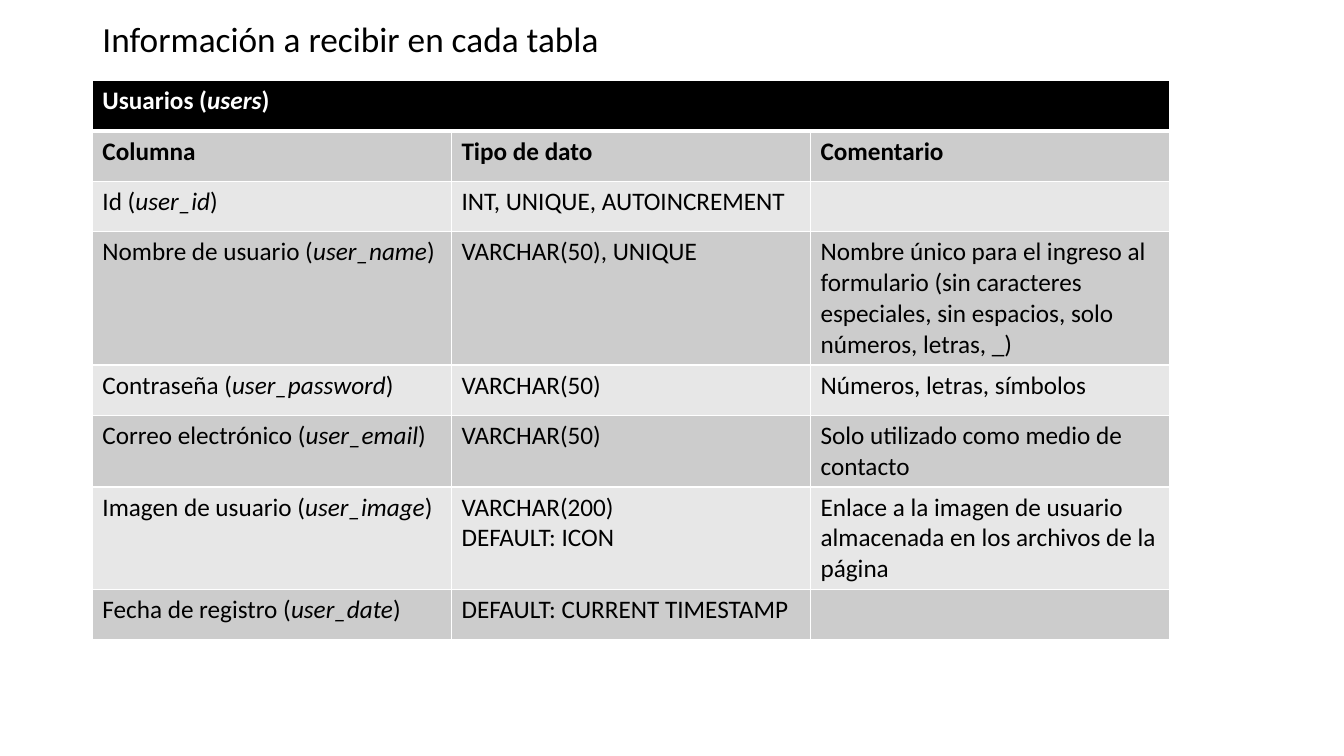
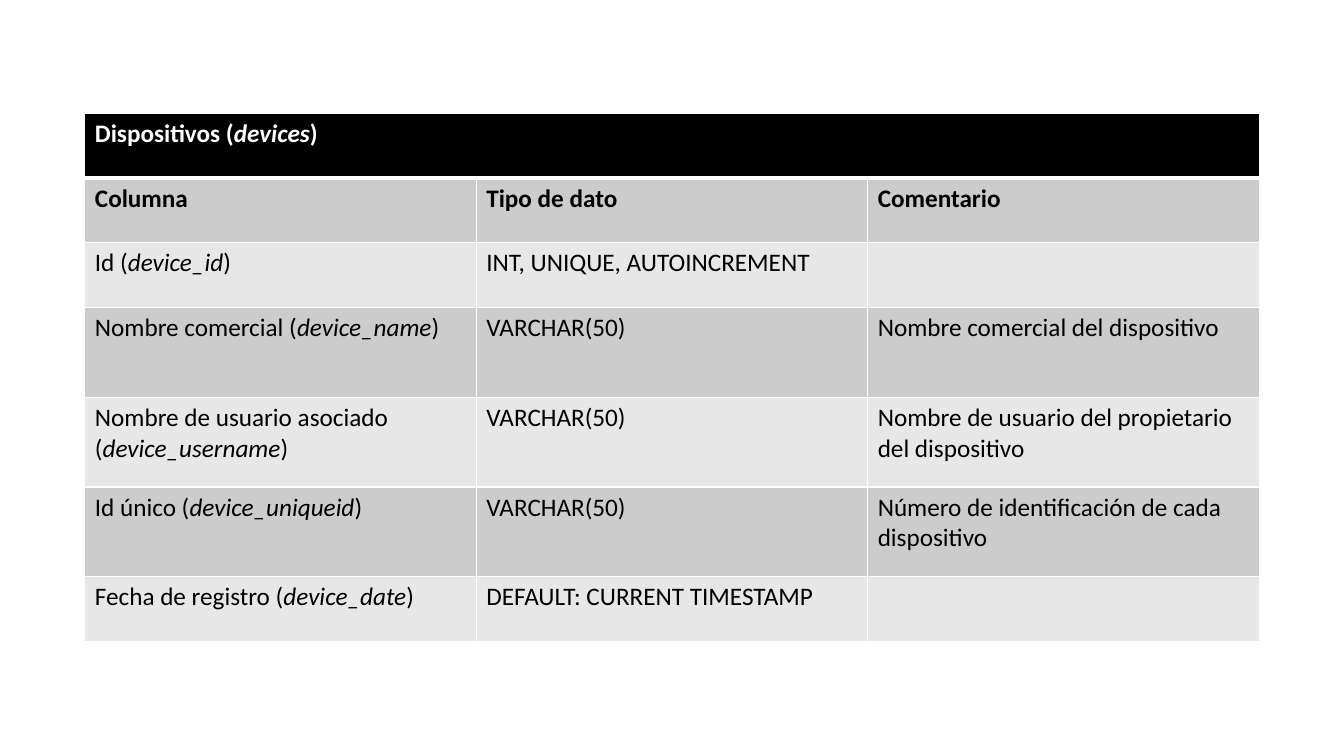
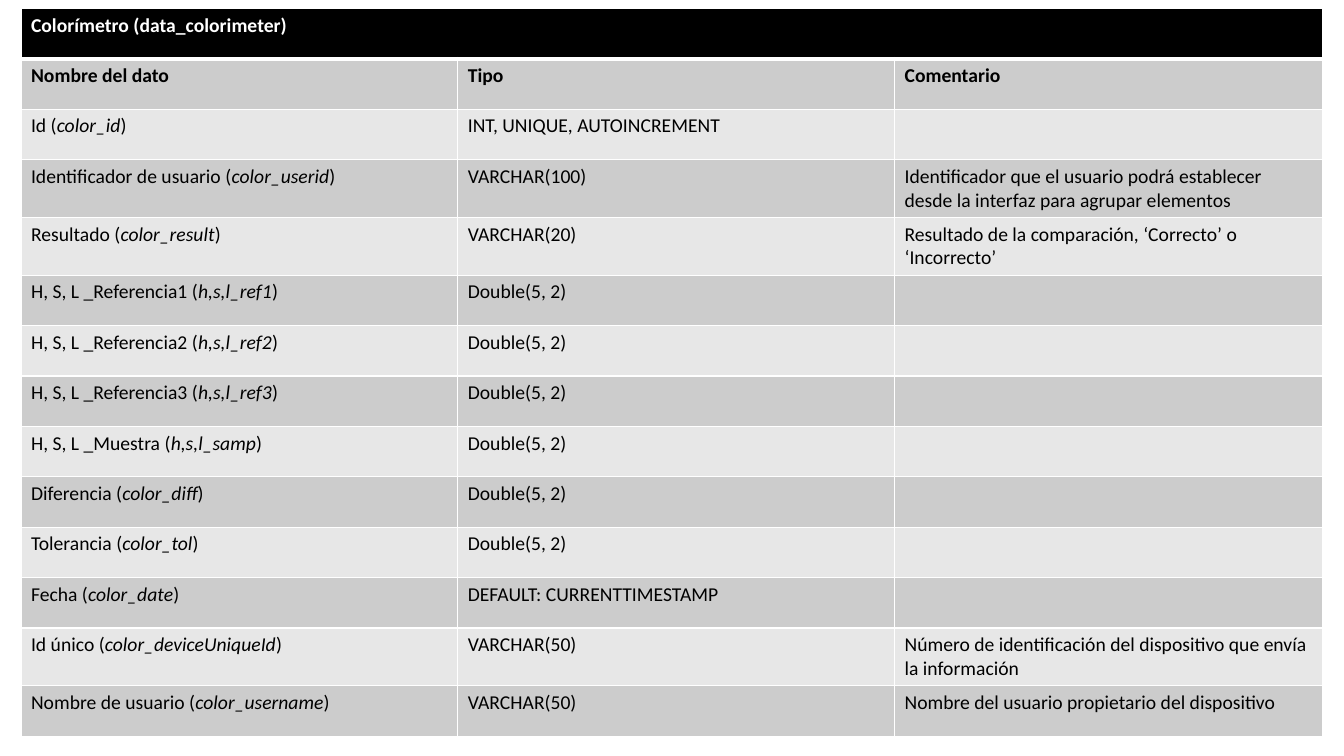
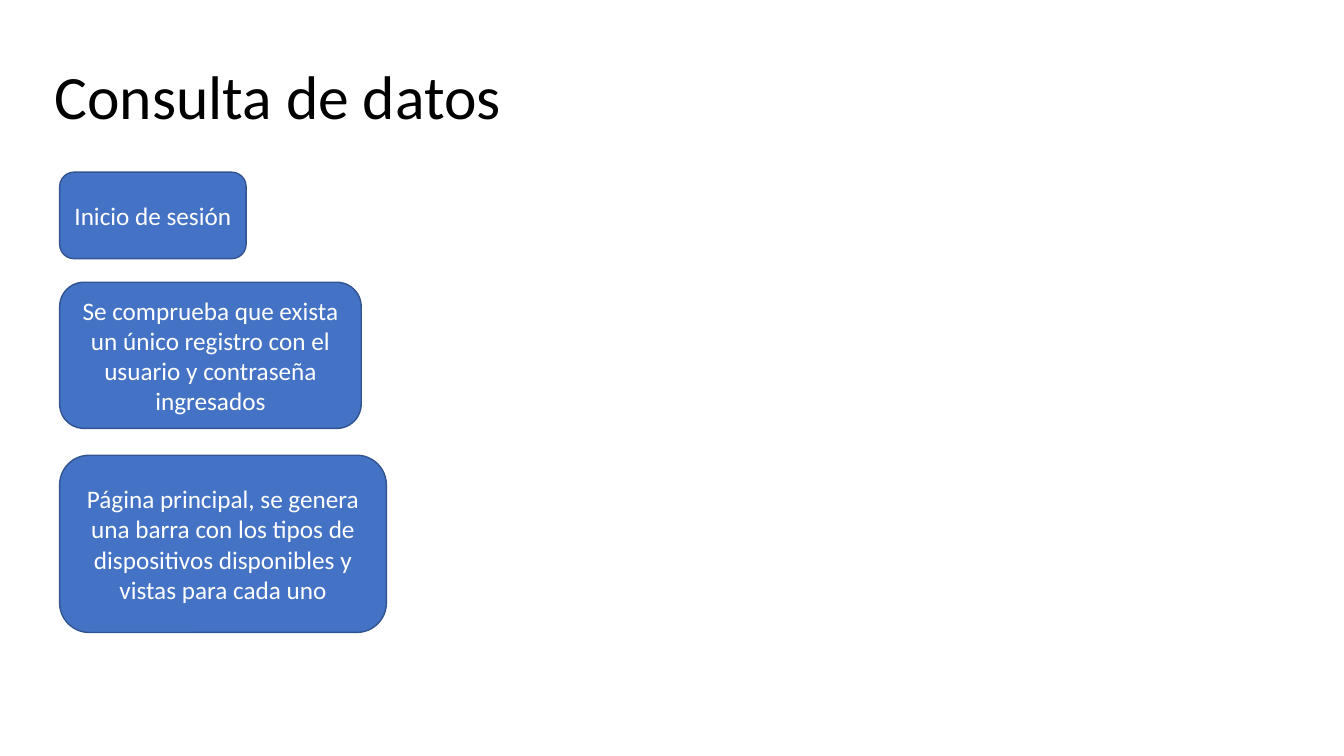
from dataclasses import dataclass

from lxml.etree import SubElement
from pptx import Presentation
from pptx.dml.color import RGBColor
from pptx.enum.shapes import MSO_SHAPE as Preset
from pptx.enum.text import MSO_ANCHOR as Anchor, PP_ALIGN as Align
from pptx.oxml.ns import qn
from pptx.util import Inches, Pt

GRID_COLUMNS, GRID_ROWS = 160, 90
TITLE_ONLY, BLANK = 5, 6


@dataclass(frozen=True)
class Theme:
    font: str = "Calibri"
    text: str = "000000"
    inverse: str = "FFFFFF"
    header: str = "000000"
    bands: tuple = ("CCCCCC", "E7E7E7")
    border: str = "FFFFFF"
    box: str = "4472C4"
    box_line: str = "325491"
    title_size: float = 44
    small_title_size: float = 25.2
    body_size: float = 18
    dense_size: float = 14
    line_width: float = 1
    header_rule: float = 3


class Deck:
    def __init__(self, theme):
        self.theme = theme
        self.presentation = Presentation()
        self.presentation.slide_width = Inches(13.333)
        self.presentation.slide_height = Inches(7.5)
        self.column = self.presentation.slide_width / GRID_COLUMNS
        self.row = self.presentation.slide_height / GRID_ROWS
        self.slide = None

    def add_slide(self, layout):
        self.slide = self.presentation.slides.add_slide(
            self.presentation.slide_layouts[layout])

    def place(self, left, top, width, height):
        """Turn grid columns and rows into slide lengths."""
        return (round(left * self.column), round(top * self.row),
                round(width * self.column), round(height * self.row))

    def format_font(self, font, size, color, bold=False):
        font.name = self.theme.font
        font.size = Pt(size)
        font.bold = bold
        font.color.rgb = RGBColor.from_string(color)

    def title(self, text, area, size):
        title = self.slide.shapes.title
        title.left, title.top, title.width, title.height = self.place(*area)
        title.text_frame.text = text
        title.text_frame.vertical_anchor = Anchor.MIDDLE
        paragraph = title.text_frame.paragraphs[0]
        paragraph.alignment = Align.LEFT
        paragraph.line_spacing = 0.9
        self.format_font(paragraph.font, size, self.theme.text)

    def box(self, text, area, preset):
        shape = self.slide.shapes.add_shape(preset, *self.place(*area))
        shape.shadow.inherit = False
        shape.fill.solid()
        shape.fill.fore_color.rgb = RGBColor.from_string(self.theme.box)
        shape.line.color.rgb = RGBColor.from_string(self.theme.box_line)
        shape.line.width = Pt(self.theme.line_width)
        frame = shape.text_frame
        frame.word_wrap = True
        frame.vertical_anchor = Anchor.MIDDLE
        frame.text = text
        paragraph = frame.paragraphs[0]
        paragraph.alignment = Align.CENTER
        self.format_font(paragraph.font, self.theme.body_size, self.theme.inverse)

    def table(self, heading, records, corner, widths, heights, size):
        """Draw a heading across all columns, then column names and records."""
        rows = [(heading, "", "")] + records
        area = self.place(*corner, sum(widths), sum(heights))
        table = self.slide.shapes.add_table(len(rows), len(widths), *area).table
        table.first_row = table.horz_banding = False
        for column, width in zip(table.columns, widths):
            column.width = round(width * self.column)
        for index, (row, height, texts) in enumerate(zip(table.rows, heights, rows)):
            row.height = round(height * self.row)
            fill = self.theme.bands[(index - 1) % 2] if index else self.theme.header
            color = self.theme.text if index else self.theme.inverse
            for cell, text in zip(row.cells, texts):
                self.cell_borders(cell, index)
                cell.fill.solid()
                cell.fill.fore_color.rgb = RGBColor.from_string(fill)
                self.cell_text(cell, text, size, color, bold=index < 2)
        table.cell(0, 0).merge(table.cell(0, len(widths) - 1))

    def cell_text(self, cell, text, size, color, bold):
        """Write one paragraph per line; text between asterisks is italic."""
        frame = cell.text_frame
        for number, line in enumerate(text.splitlines()):
            paragraph = frame.add_paragraph() if number else frame.paragraphs[0]
            for position, part in enumerate(line.split("*")):
                run = paragraph.add_run()
                run.text = part
                run.font.italic = position % 2 == 1
                self.format_font(run.font, size, color, bold)

    def cell_borders(self, cell, row):
        properties = cell._tc.get_or_add_tcPr()
        thick_side = {0: "lnB", 1: "lnT"}.get(row)
        for side in ("lnL", "lnR", "lnT", "lnB"):
            thick = side == thick_side
            width = self.theme.header_rule if thick else self.theme.line_width
            line = SubElement(properties, qn(f"a:{side}"), w=str(Pt(width)))
            fill = SubElement(line, qn("a:solidFill"))
            SubElement(fill, qn("a:srgbClr"), val=self.theme.border)


COLUMN_NAMES = ("Columna", "Tipo de dato", "Comentario")
COUNTER = "INT, UNIQUE, AUTOINCREMENT"
SHORT_TEXT = "VARCHAR(50)"
DECIMAL = "Double(5, 2)"
TIMESTAMP = "DEFAULT: CURRENT TIMESTAMP"

USERS = [
    COLUMN_NAMES,
    ("Id (*user_id*)", COUNTER, ""),
    ("Nombre de usuario (*user_name*)", "VARCHAR(50), UNIQUE",
     "Nombre único para el ingreso al formulario (sin caracteres especiales, "
     "sin espacios, solo números, letras, _)"),
    ("Contraseña (*user_password*)", SHORT_TEXT, "Números, letras, símbolos"),
    ("Correo electrónico (*user_email*)", SHORT_TEXT,
     "Solo utilizado como medio de contacto"),
    ("Imagen de usuario (*user_image*)", "VARCHAR(200)\nDEFAULT: ICON",
     "Enlace a la imagen de usuario almacenada en los archivos de la página"),
    ("Fecha de registro (*user_date*)", TIMESTAMP, ""),
]

DEVICES = [
    COLUMN_NAMES,
    ("Id (*device_id*)", COUNTER, ""),
    ("Nombre comercial (*device_name*)", SHORT_TEXT,
     "Nombre comercial del dispositivo"),
    ("Nombre de usuario asociado (*device_username*)", SHORT_TEXT,
     "Nombre de usuario del propietario del dispositivo"),
    ("Id único (*device_uniqueid*)", SHORT_TEXT,
     "Número de identificación de cada dispositivo"),
    ("Fecha de registro (*device_date*)", TIMESTAMP, ""),
]

MEASURES = [
    ("H, S, L _Referencia1", "h,s,l_ref1"),
    ("H, S, L _Referencia2", "h,s,l_ref2"),
    ("H, S, L _Referencia3", "h,s,l_ref3"),
    ("H, S, L _Muestra", "h,s,l_samp"),
    ("Diferencia", "color_diff"),
    ("Tolerancia", "color_tol"),
]

COLORIMETER = [
    ("Nombre del dato", "Tipo", "Comentario"),
    ("Id (*color_id*)", COUNTER, ""),
    ("Identificador de usuario (*color_userid*)", "VARCHAR(100)",
     "Identificador que el usuario podrá establecer desde la interfaz "
     "para agrupar elementos"),
    ("Resultado (*color_result*)", "VARCHAR(20)",
     "Resultado de la comparación, ‘Correcto’ o ‘Incorrecto’"),
    *((f"{label} (*{field}*)", DECIMAL, "") for label, field in MEASURES),
    ("Fecha (*color_date*)", "DEFAULT: CURRENTTIMESTAMP", ""),
    ("Id único (*color_deviceUniqueId*)", SHORT_TEXT,
     "Número de identificación del dispositivo que envía la información"),
    ("Nombre de usuario (*color_username*)", SHORT_TEXT,
     "Nombre del usuario propietario del dispositivo"),
]

LOGIN_STEPS = [
    ("Inicio de sesión", (7.1, 20.5, 22.2, 10.3),
     Preset.FLOWCHART_ALTERNATE_PROCESS),
    ("Se comprueba que exista un único registro con el usuario y contraseña "
     "ingresados", (7.1, 33.6, 35.9, 17.4), Preset.ROUNDED_RECTANGLE),
    ("Página principal, se genera una barra con los tipos de dispositivos "
     "disponibles y vistas para cada uno", (7.1, 54.2, 38.9, 21.1),
     Preset.FLOWCHART_ALTERNATE_PROCESS),
]


def main():
    theme = Theme()
    deck = Deck(theme)

    deck.add_slide(TITLE_ONLY)
    deck.title("Información a recibir en cada tabla", (11, 2, 138, 5.9),
               theme.small_title_size)
    deck.table("Usuarios (*users*)", USERS, (11, 9.6), [42.75] * 3, [6] * 8,
               theme.body_size)

    deck.add_slide(BLANK)
    deck.table("Dispositivos (*devices*)", DEVICES, (10.1, 13.5), [46.6] * 3,
               [7.7] * 3 + [10.7] * 3 + [7.7], theme.body_size)

    deck.add_slide(BLANK)
    deck.table("Colorímetro (data_colorimeter)", COLORIMETER, (2.5, 1),
               [52, 52, 51], [6] * 14, theme.dense_size)

    deck.add_slide(TITLE_ONLY)
    deck.title("Consulta de datos", (5.3, 3.1, 138, 17.4), theme.title_size)
    for text, area, preset in LOGIN_STEPS:
        deck.box(text, area, preset)

    deck.presentation.save("out.pptx")


if __name__ == "__main__":
    main()
